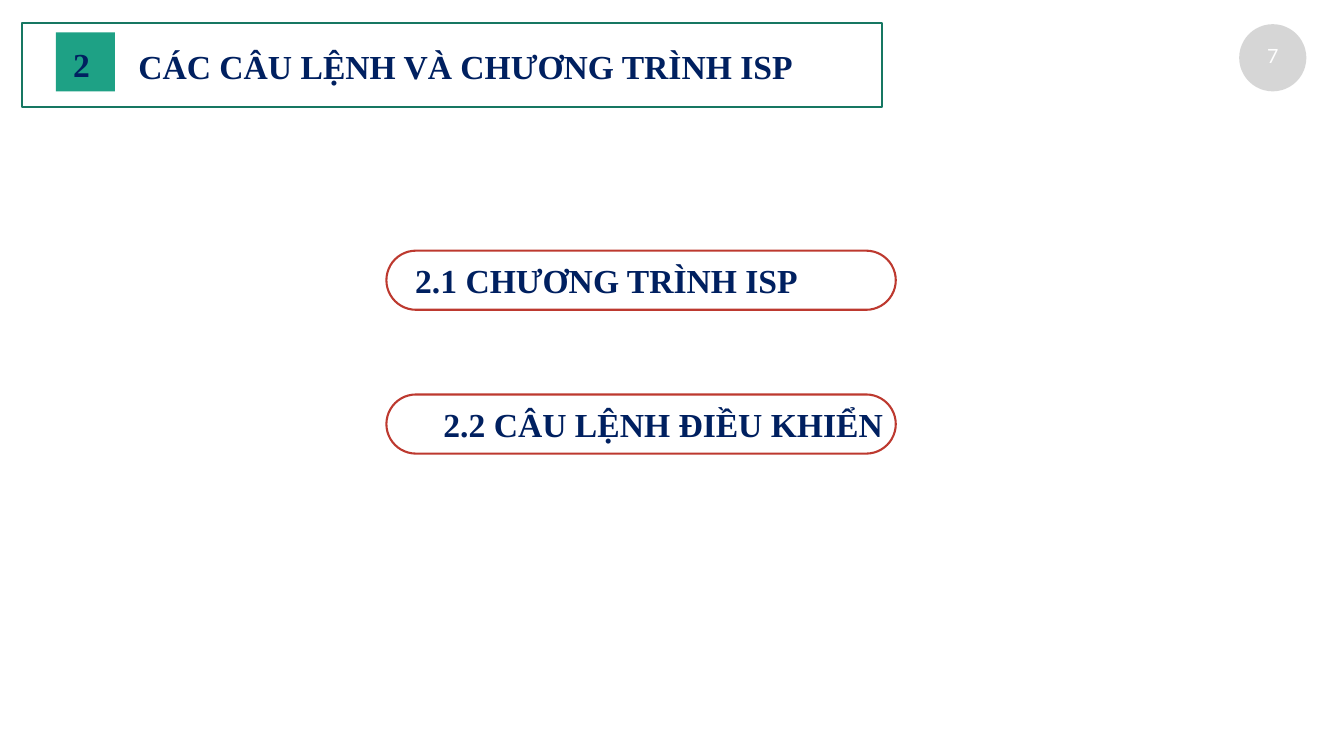
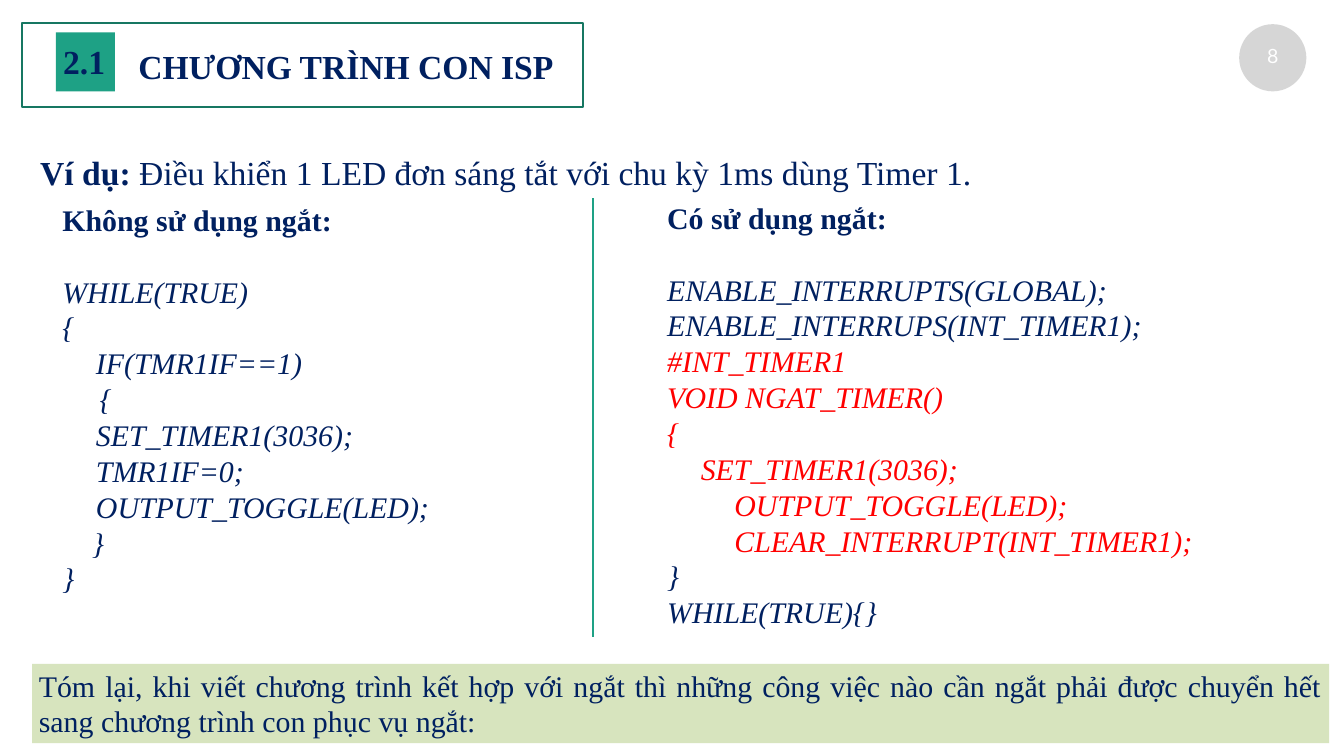
import pptx
import pptx.util
import pptx.dml.color
import pptx.enum.shapes
import pptx.enum.text
import pptx.oxml.ns
import lxml.etree

Pt = pptx.util.Pt
RGB = pptx.dml.color.RGBColor
SHAPE = pptx.enum.shapes.MSO_SHAPE
ALIGN = pptx.enum.text.PP_ALIGN
qn = pptx.oxml.ns.qn

NAVY = RGB(0x00, 0x20, 0x60)
GREEN = RGB(0x1E, 0xA1, 0x85)
DARK_GREEN = RGB(0x16, 0x77, 0x62)
BRICK = RGB(0xBD, 0x39, 0x2F)
RED = RGB(0xFF, 0x00, 0x00)
LIME = RGB(0xD7, 0xE4, 0xBE)
GREY = RGB(0xA6, 0xA6, 0xA6)
WHITE = RGB(0xFF, 0xFF, 0xFF)

prs = pptx.Presentation()
prs.slide_width = pptx.util.Inches(20)
prs.slide_height = pptx.util.Inches(11.25)
CELL = prs.slide_width / 20  # square grid: 20 columns, 11.25 rows


def box(s, col, row, cols, rows, kind=None, fill=None, line=None, width=2):
    """Place a text box, or a preset shape if kind is given, on the grid."""
    place = [round(v * CELL) for v in (col, row, cols, rows)]
    if kind is None:
        return s.shapes.add_textbox(*place)
    sp = s.shapes.add_shape(kind, *place)
    sp.shadow.inherit = False
    if fill is None:
        sp.fill.background()
    else:
        sp.fill.solid()
        sp.fill.fore_color.rgb = fill
    if line is None:
        sp.line.fill.background()
    else:
        sp.line.color.rgb = line
        sp.line.width = Pt(width)
    return sp


def text(sp, *runs, size=36, font="Times New Roman", color=NAVY, bold=False,
         italic=False, align=ALIGN.LEFT, after=0, more=False):
    """Write one paragraph; a run is a string or a (string, bold) pair."""
    tf = sp.text_frame
    tf.word_wrap = True
    tf.vertical_anchor = pptx.enum.text.MSO_ANCHOR.TOP
    p = tf.add_paragraph() if more else tf.paragraphs[0]
    p.alignment = align
    p.line_spacing = Pt(size * 1.2)
    p.space_after = Pt(after)
    for run in runs:
        words, heavy = (run, bold) if isinstance(run, str) else run
        r = p.add_run()
        r.text = words
        r.font.name = font
        r.font.size = Pt(size)
        r.font.bold = heavy
        r.font.italic = italic
        r.font.color.rgb = color


# Shared header: page badge, numbered square, framed title
headers = [
    ("7", "2", (0.99, 0.6), "CÁC CÂU LỆNH VÀ CHƯƠNG TRÌNH ISP", 12.79, 11.44),
    ("8", "2.1", (0.84, 0.56), "CHƯƠNG TRÌNH CON ISP", 8.34, 6.71),
]
slides = []
for page, number, number_at, title, frame_cols, title_cols in headers:
    s = prs.slides.add_slide(prs.slide_layouts[6])
    slides.append(s)
    badge = box(s, 18.44, 0.36, 1, 1, SHAPE.OVAL, fill=GREY)
    tint = badge.fill._xPr.find(qn("a:solidFill"))[0]
    lxml.etree.SubElement(tint, qn("a:alpha")).set("val", "45000")
    text(box(s, 18.36, 0.6, 1.16, 0.45), page, size=21, font="Lato",
         color=WHITE, align=ALIGN.CENTER)
    box(s, 0.83, 0.48, 0.88, 0.88, SHAPE.RECTANGLE, fill=GREEN)
    box(s, 0.33, 0.34, frame_cols, 1.25, SHAPE.RECTANGLE, line=DARK_GREEN)
    text(box(s, 1.96, 0.64, title_cols, 0.71), title, bold=True)
    text(box(s, *number_at, 3.99, 0.71), number, bold=True)

# Section list
s = slides[0]
sections = [("2.1 CHƯƠNG TRÌNH ISP", 6.08), ("2.2 CÂU LỆNH ĐIỀU KHIỂN", 6.5)]
for i, (section, col) in enumerate(sections):
    row = 3.73 + i * 2.14
    pill = box(s, 5.75, row, 7.58, 0.88, SHAPE.ROUNDED_RECTANGLE,
               line=BRICK, width=2.25)
    pill.adjustments[0] = 0.5
    text(box(s, col, row + 0.09, 11.44, 0.71), section, bold=True)

# Example and column divider
s = slides[1]
text(box(s, 0.5, 2.21, 15.75, 0.71), ("Ví dụ: ", True),
     "Điều khiển 1 LED đơn sáng tắt với chu kỳ 1ms dùng Timer 1.")
divider = s.shapes.add_connector(
    pptx.enum.shapes.MSO_CONNECTOR.STRAIGHT,
    *[round(v * CELL) for v in (8.83, 2.95, 8.83, 9.48)])
divider.line.color.rgb = GREEN
divider.line.width = Pt(2)
lxml.etree.SubElement(divider._element.spPr, qn("a:effectLst"))

# Code without and with interrupts; red_lines is the interrupt routine
polling = """WHILE(TRUE)
{
\tIF(TMR1IF==1)
     {
\tSET_TIMER1(3036);
\tTMR1IF=0;
\tOUTPUT_TOGGLE(LED);
    }
}"""
interrupt = """ENABLE_INTERRUPTS(GLOBAL);
ENABLE_INTERRUPS(INT_TIMER1);
#INT_TIMER1
VOID NGAT_TIMER()
{
\tSET_TIMER1(3036);
         OUTPUT_TOGGLE(LED);
         CLEAR_INTERRUPT(INT_TIMER1);
}
WHILE(TRUE){}"""
columns = [
    ((0.83, 2.95, 8, 6.02), "Không sử dụng ngắt:", polling, range(0)),
    ((9.83, 2.92, 9.5, 6.56), "Có sử dụng ngắt:", interrupt, range(2, 8)),
]
for place, heading, code, red_lines in columns:
    sp = box(s, *place)
    text(sp, heading, size=32, bold=True, after=38.4)
    for i, code_line in enumerate(code.split("\n")):
        text(sp, code_line, size=32, italic=True, more=True,
             color=RED if i in red_lines else NAVY)

# Summary band
band = box(s, 0.48, 9.88, 19.3, 1.18, SHAPE.RECTANGLE, fill=LIME)
text(band, "Tóm lại, khi viết chương trình kết hợp với ngắt thì những công việc "
     "nào cần ngắt phải được chuyển hết sang chương trình con phục vụ ngắt:",
     size=32, align=ALIGN.JUSTIFY)

prs.save("out.pptx")
